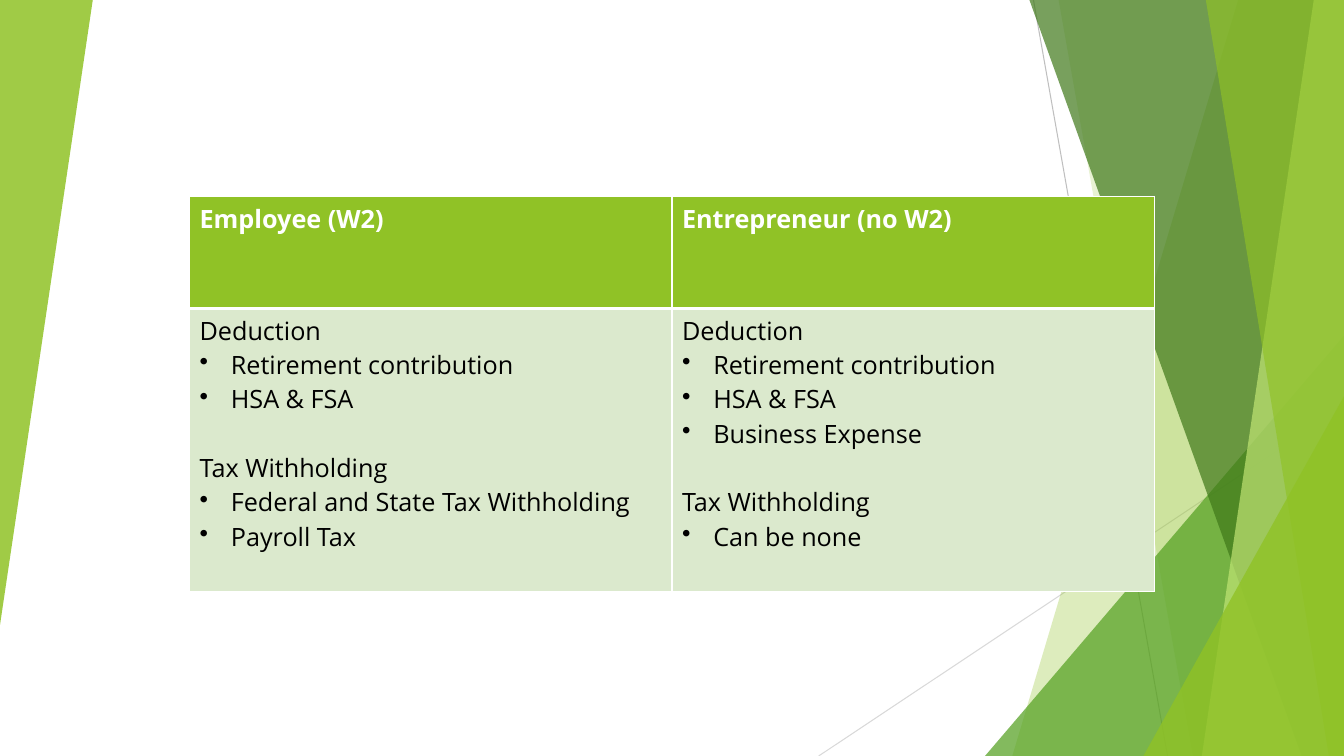
import pptx
import pptx.dml.color
import pptx.enum.shapes
import pptx.oxml.ns
import pptx.oxml.xmlchemy
import pptx.util

WIDTH, HEIGHT = 13.33, 7.5
FONT = "Open Sans"
GREEN, PALE, WHITE, BLACK = "90C226", "DBE9CD", "FFFFFF", "000000"

RAYS = [((10.25, 0), (11.58, HEIGHT), "BFBFBF"), ((WIDTH, 4.03), (8.12, HEIGHT), "D9D9D9")]
DECORATION = [
    ("band", (12.28, 10.04), GREEN, 30),
    ("band", (10.5, 11.83), GREEN, 20),
    ("triangle", (9.77, 3.33, 3.56, 4.17, 0), "54A021", 72),
    ("band", (10.21, 12.91), "3F7819", 70),
    ("band", (13.03, 11.92), "C0E474", 70),
    ("band", (11.96, 13.18), GREEN, 65),
    ("triangle", (11.34, 3.93, 1.99, 3.57, 0), GREEN, 80),
    ("triangle", (0, 0, 0.92, 6.2, 180), GREEN, 85),
]
COLUMNS = [
    ("Employee (W2)", [
        ("Deduction", ["Retirement contribution", "HSA & FSA"]),
        ("Tax Withholding", ["Federal and State Tax Withholding", "Payroll Tax"]),
    ]),
    ("Entrepreneur (no W2)", [
        ("Deduction", ["Retirement contribution", "HSA & FSA", "Business Expense"]),
        ("Tax Withholding", ["Can be none"]),
    ]),
]
TABLE_LEFT, TABLE_TOP, TABLE_WIDTH = 1.88, 1.95, 9.57
ROW_HEIGHTS = [1.11, 2.81]
SECTION_GAP = 24.5
BULLET_INDENT = 0.31


def inches(*lengths):
    return [pptx.util.Inches(length) for length in lengths]


def colour(code):
    return pptx.dml.color.RGBColor.from_string(code)


def element(parent, tag, **attributes):
    child = pptx.oxml.xmlchemy.OxmlElement(tag)
    for name, value in attributes.items():
        child.set(name, str(value))
    parent.append(child)
    return child


def paint(shape, code, opacity):
    shape.shadow.inherit = False
    shape.line.fill.background()
    shape.fill.solid()
    shape.fill.fore_color.rgb = colour(code)
    tint = shape._element.spPr.find(".//" + pptx.oxml.ns.qn("a:srgbClr"))
    element(tint, "a:alpha", val=opacity * 1000)


def add_ray(page, start, end, code):
    ray = page.shapes.add_connector(
        pptx.enum.shapes.MSO_CONNECTOR.STRAIGHT, *inches(*start, *end))
    ray.line.color.rgb = colour(code)
    ray.line.width = pptx.util.Pt(0.75)
    element(ray._element.spPr, "a:effectLst")


def add_band(page, top_left, bottom_left):
    corners = [inches(x, y) for x, y in
               [(top_left, 0), (WIDTH, 0), (WIDTH, HEIGHT), (bottom_left, HEIGHT)]]
    builder = page.shapes.build_freeform(*corners[0])
    builder.add_line_segments(corners[1:], close=True)
    return builder.convert_to_shape()


def add_triangle(page, left, top, width, height, rotation):
    triangle = page.shapes.add_shape(
        pptx.enum.shapes.MSO_SHAPE.ISOSCELES_TRIANGLE, *inches(left, top, width, height))
    triangle.adjustments[0] = 1
    triangle.rotation = rotation
    return triangle


def format_cell(cell, fill, top_border, bottom_border):
    properties = cell._tc.get_or_add_tcPr()
    for side, points in zip("LRTB", (1, 1, top_border, bottom_border)):
        border = element(properties, "a:ln" + side, w=pptx.util.Pt(points))
        element(element(border, "a:solidFill"), "a:srgbClr", val=WHITE)
    cell.fill.solid()
    cell.fill.fore_color.rgb = colour(fill)


def write(para, text, code, bold=False, bullet=False):
    para.text = text
    para.font.name = FONT
    para.font.size = pptx.util.Pt(18)
    para.font.bold = bold
    para.font.color.rgb = colour(code)
    if bullet:
        properties = para._p.get_or_add_pPr()
        indent = pptx.util.Inches(BULLET_INDENT)
        properties.set("marL", str(indent))
        properties.set("indent", str(-indent))
        mark = pptx.oxml.xmlchemy.OxmlElement("a:buChar")
        mark.set("char", "•")
        properties.insert(0, mark)


def fill_body(frame, sections):
    lines = [(text, position > 0, index > 0)
             for index, (heading, items) in enumerate(sections)
             for position, text in enumerate([heading, *items])]
    for number, (text, bullet, later) in enumerate(lines):
        para = frame.add_paragraph() if number else frame.paragraphs[0]
        write(para, text, BLACK, bullet=bullet)
        if later and not bullet:
            para.space_before = pptx.util.Pt(SECTION_GAP)


def add_comparison(page):
    frame = page.shapes.add_table(
        len(ROW_HEIGHTS), len(COLUMNS),
        *inches(TABLE_LEFT, TABLE_TOP, TABLE_WIDTH, sum(ROW_HEIGHTS)))
    table = frame.table
    for row, height in zip(table.rows, ROW_HEIGHTS):
        row.height = pptx.util.Inches(height)
    for index, (heading, sections) in enumerate(COLUMNS):
        table.columns[index].width = pptx.util.Inches(TABLE_WIDTH / len(COLUMNS))
        header, body = table.cell(0, index), table.cell(1, index)
        format_cell(header, GREEN, 1, 3)
        format_cell(body, PALE, 3, 1)
        write(header.text_frame.paragraphs[0], heading, WHITE, bold=True)
        fill_body(body.text_frame, sections)


def main():
    deck = pptx.Presentation()
    deck.slide_width, deck.slide_height = inches(WIDTH, HEIGHT)
    page = deck.slides.add_slide(deck.slide_layouts[6])
    for ray in RAYS:
        add_ray(page, *ray)
    makers = {"band": add_band, "triangle": add_triangle}
    for kind, geometry, code, opacity in DECORATION:
        paint(makers[kind](page, *geometry), code, opacity)
    add_comparison(page)
    deck.save("out.pptx")


if __name__ == "__main__":
    main()
